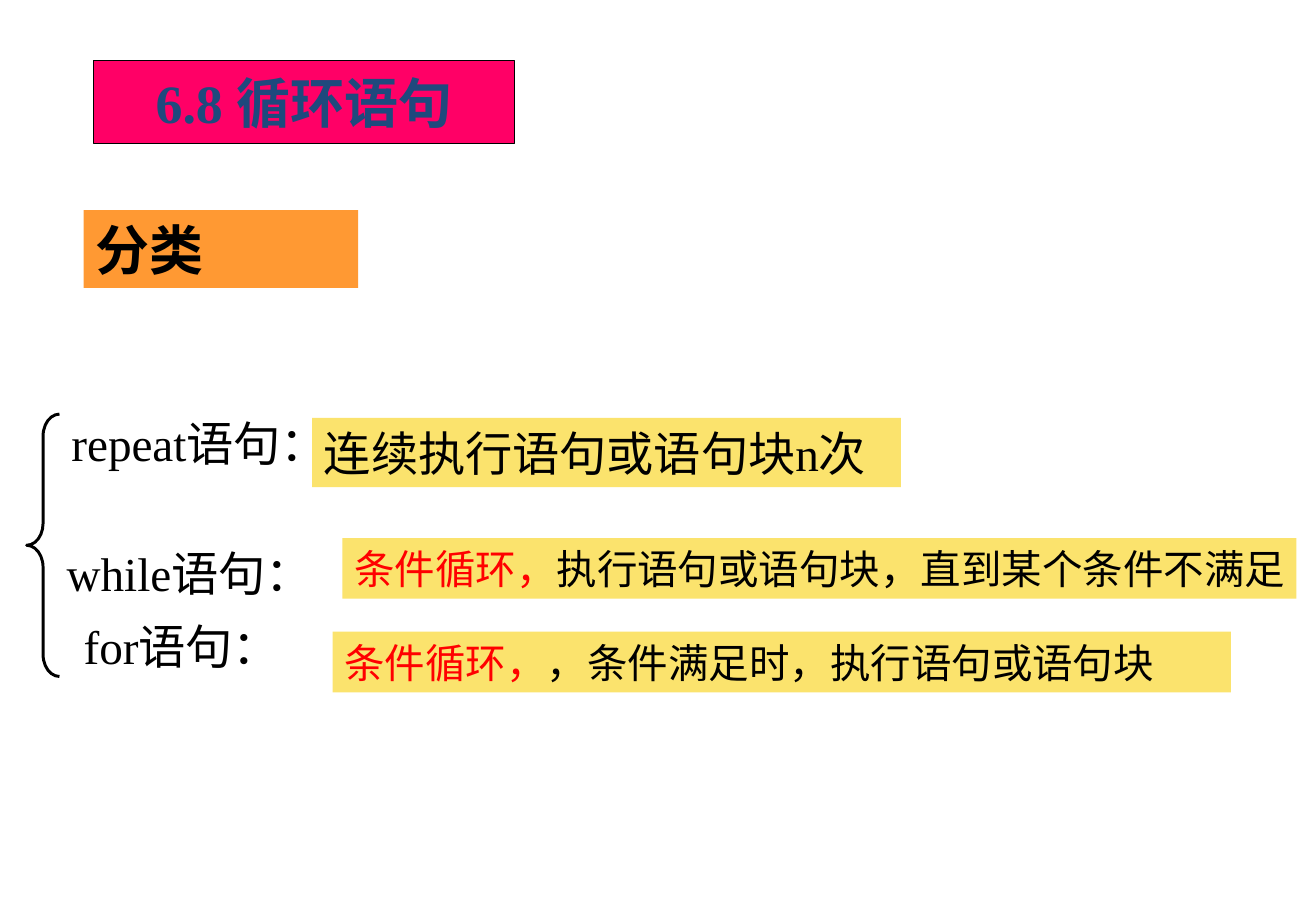
from pptx import Presentation
from pptx.dml.color import RGBColor
from pptx.enum.shapes import MSO_SHAPE
from pptx.enum.text import MSO_ANCHOR, PP_ALIGN
from pptx.util import Emu, Pt

PX = 9144  # 100 px to the inch
FONT = "Times New Roman"
COLORS = {
    "black": "000000",
    "red": "FF0000",
    "navy": "1F497D",
    "pink": "FF0066",
    "orange": "FF9933",
    "yellow": "FBE36D",
}


def px(n):
    return Emu(n * PX)


def rgb(name):
    return RGBColor.from_string(COLORS[name])


def write(sp, runs, size, bold=False, wrap=True,
          align=PP_ALIGN.LEFT, anchor=MSO_ANCHOR.TOP):
    """Fill a shape with one paragraph of (text, colour) runs."""
    tf = sp.text_frame
    tf.word_wrap = wrap
    tf.vertical_anchor = anchor
    p = tf.paragraphs[0]
    p.alignment = align
    for text, color in runs:
        r = p.add_run()
        r.text = text
        r.font.name = FONT
        r.font.size = Pt(size)
        r.font.bold = bold
        r.font.color.rgb = rgb(color)


def add_label(slide, box, text):
    sp = slide.shapes.add_textbox(*map(px, box))
    write(sp, [(text, "black")], 28, wrap=False)


def add_panel(slide, box, fill, runs, size, line=None, **style):
    sp = slide.shapes.add_shape(MSO_SHAPE.RECTANGLE, *map(px, box))
    sp.shadow.inherit = False
    sp.fill.solid()
    sp.fill.fore_color.rgb = rgb(fill)
    if line:
        sp.line.color.rgb = rgb(line)
        sp.line.width = Pt(0.75)
    else:
        sp.line.fill.background()
    write(sp, runs, size, **style)


def add_brace(slide, box):
    sp = slide.shapes.add_shape(MSO_SHAPE.LEFT_BRACE, *map(px, box))
    sp.shadow.inherit = False
    sp.adjustments[0] = 0.67
    sp.fill.background()
    sp.line.color.rgb = rgb("black")
    sp.line.width = Pt(1.75)


def main():
    prs = Presentation()
    prs.slide_width, prs.slide_height = px(1084), px(750)
    slide = prs.slides.add_slide(prs.slide_layouts[6])

    # Section heading
    add_panel(slide, (69, 173, 226, 64), "orange", [("分类", "black")], 32, bold=True)

    # Statement names, gathered by the brace
    add_label(slide, (49, 336, 240, 57), "repeat语句：")
    add_label(slide, (45, 443, 232, 57), "while语句：")
    add_label(slide, (59, 503, 191, 57), "for语句：")
    add_brace(slide, (22, 341, 27, 216))

    # Explanations
    condition = ("条件循环，", "red")
    add_panel(slide, (257, 344, 485, 57), "yellow",
              [("连续执行语句或语句块n次", "black")], 28, wrap=False)
    add_panel(slide, (282, 443, 786, 50), "yellow",
              [condition, ("执行语句或语句块，直到某个条件不满足", "black")], 24, wrap=False)
    add_panel(slide, (274, 520, 740, 50), "yellow",
              [condition, ("，条件满足时，执行语句或语句块", "black")], 24)

    # Slide title
    add_panel(slide, (77, 50, 347, 68), "pink", [("6.8 循环语句", "navy")], 32,
              line="black", bold=True, align=PP_ALIGN.CENTER, anchor=MSO_ANCHOR.MIDDLE)

    prs.save("out.pptx")


if __name__ == "__main__":
    main()
